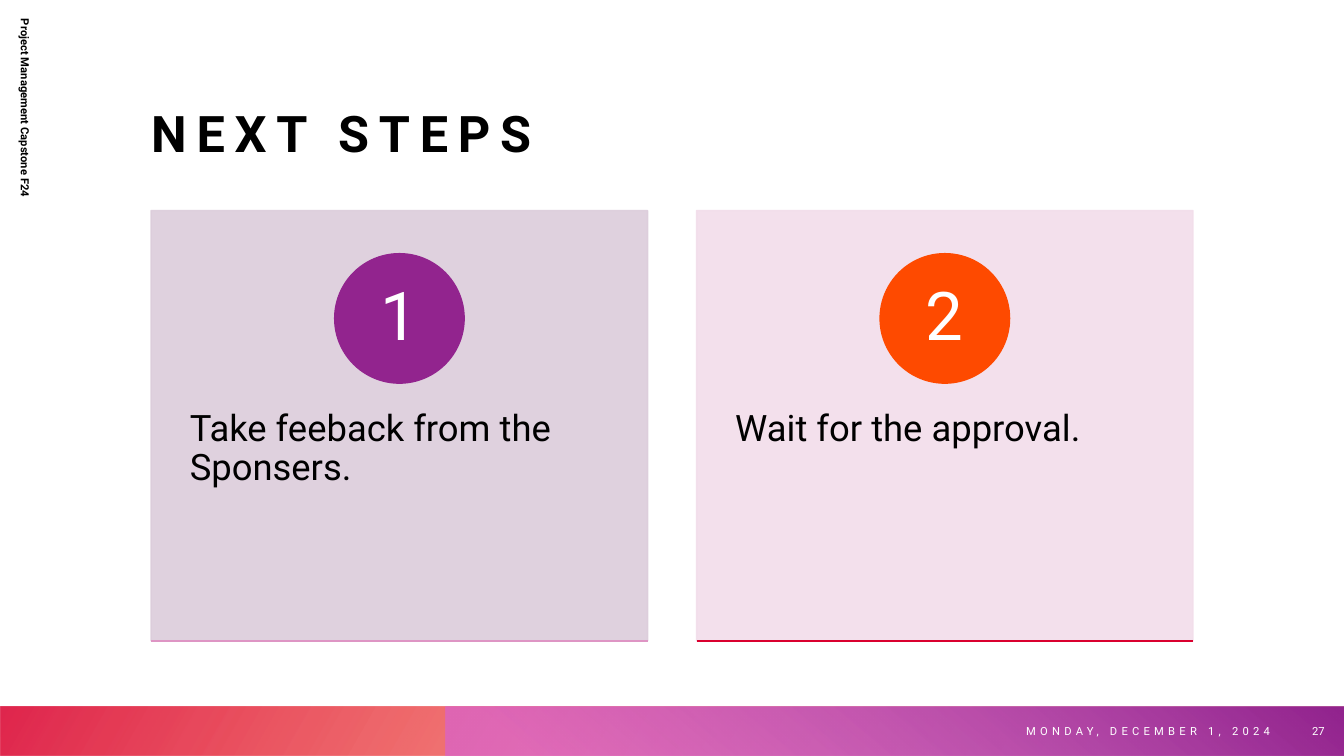
from lxml import etree
from pptx import Presentation
from pptx.dml.color import RGBColor
from pptx.enum.shapes import MSO_CONNECTOR, MSO_SHAPE
from pptx.enum.text import MSO_ANCHOR, MSO_AUTO_SIZE, PP_ALIGN
from pptx.oxml.ns import qn
from pptx.util import Pt

RECTANGLE, OVAL = MSO_SHAPE.RECTANGLE, MSO_SHAPE.OVAL
STRAIGHT = MSO_CONNECTOR.STRAIGHT
TOP, MIDDLE, BOTTOM = MSO_ANCHOR.TOP, MSO_ANCHOR.MIDDLE, MSO_ANCHOR.BOTTOM
LEFT, CENTER, RIGHT = PP_ALIGN.LEFT, PP_ALIGN.CENTER, PP_ALIGN.RIGHT
NO_AUTOFIT = MSO_AUTO_SIZE.NONE

FONT = "Roboto"
COLORS = {
    "black": "000000", "white": "FFFFFF",
    "orange": "FE4A00", "red": "DA002F",
    "orchid": "D861D4", "purple": "92248E",
    "lilac": "DCCDDB", "blush": "F2DDEA", "pink": "DE95C4",
}
SLIDE_WIDTH, SLIDE_HEIGHT = 960, 540
MARGIN = 108
FOOTER_TOP, FOOTER_HEIGHT = 504.6, 35.4
CARD_TOP, CARD_WIDTH, CARD_HEIGHT, CARD_GAP = 150.4, 354.6, 307.4, 35
CIRCLE_SIZE = 92.5

# Number, text, circle colour, card colour, base line colour
STEPS = [
    ("1", "Take feeback from the Sponsers.", "purple", "lilac", "pink"),
    ("2", "Wait for the approval.", "orange", "blush", "red"),
]


def rgb(name):
    return RGBColor.from_string(COLORS[name])


def set_alpha(parent, percent):
    """Make every colour below the given element partly opaque."""
    for color in parent.iter(qn("a:srgbClr")):
        etree.SubElement(color, qn("a:alpha")).set("val", str(percent * 1000))


def write_text(shape, text, size=8, color="black", bold=False, tracking=0,
               align=LEFT, anchor=MIDDLE, insets=(7.2, 3.6), line_spacing=1.0):
    frame = shape.text_frame
    frame.word_wrap = True
    frame.auto_size = NO_AUTOFIT
    frame.vertical_anchor = anchor
    frame.margin_left = frame.margin_right = Pt(insets[0])
    frame.margin_top = frame.margin_bottom = Pt(insets[1])
    paragraph = frame.paragraphs[0]
    paragraph.alignment = align
    paragraph.line_spacing = line_spacing
    run = paragraph.add_run()
    run.text = text
    run.font.name = FONT
    run.font.size = Pt(size)
    run.font.bold = bold
    run.font.color.rgb = rgb(color)
    if tracking:
        run.font._element.set("spc", str(tracking * 100))


def add_label(slide, box, text, **text_format):
    label = slide.shapes.add_textbox(*map(Pt, box))
    write_text(label, text, **text_format)
    return label


def add_filled(slide, kind, box, color, alpha=None):
    shape = slide.shapes.add_shape(kind, *map(Pt, box))
    shape.shadow.inherit = False
    shape.fill.solid()
    shape.fill.fore_color.rgb = rgb(color)
    shape.line.color.rgb = rgb(color)
    shape.line.width = Pt(1)
    if alpha:
        set_alpha(shape._element.spPr, alpha)
    return shape


def add_gradient_bar(slide, left, stops, angle, rotation=0):
    """Draw a mirrored footer bar that runs to the right edge."""
    bar = slide.shapes.add_shape(RECTANGLE, Pt(left), Pt(FOOTER_TOP),
                                 Pt(SLIDE_WIDTH - left), Pt(FOOTER_HEIGHT))
    bar.shadow.inherit = False
    bar.line.fill.background()
    bar.rotation = rotation
    bar._element.spPr.find(qn("a:xfrm")).set("flipH", "1")
    bar.fill.gradient()
    bar.fill.gradient_angle = 360 - angle
    for stop, (position, color, alpha) in zip(bar.fill.gradient_stops, stops):
        stop.position = position / 100
        stop.color.rgb = rgb(color)
        set_alpha(stop._gs, alpha)


def add_base_line(slide, left, top, width, color):
    line = slide.shapes.add_connector(STRAIGHT, Pt(left), Pt(top),
                                      Pt(left + width), Pt(top))
    line.line.color.rgb = rgb(color)
    line.line.width = Pt(1)
    etree.SubElement(line._element.spPr, qn("a:effectLst"))


def add_step_card(slide, left, number, text, circle_color, card_color, line_color):
    add_filled(slide, RECTANGLE, (left, CARD_TOP, CARD_WIDTH, CARD_HEIGHT),
               card_color, alpha=90)
    add_label(slide, (left, 267, CARD_WIDTH, 184), text, size=26, anchor=TOP,
              insets=(27.6, 26), line_spacing=0.9)
    circle_left = left + (CARD_WIDTH - CIRCLE_SIZE) / 2
    circle = add_filled(slide, OVAL, (circle_left, 181.2, CIRCLE_SIZE, CIRCLE_SIZE),
                        circle_color)
    write_text(circle, number, size=48, color="white", align=CENTER,
               insets=(7.2, 0.7), line_spacing=0.9)
    add_base_line(slide, left, CARD_TOP + CARD_HEIGHT, CARD_WIDTH, line_color)


def add_title(slide, text):
    title = slide.shapes.title
    title.left, title.top = Pt(MARGIN), Pt(37.5)
    title.width, title.height = Pt(744), Pt(79)
    write_text(title, text, size=36, bold=True, tracking=7,
               anchor=BOTTOM, insets=(0, 0))


def add_footer(slide):
    add_gradient_bar(slide, 0, [(14, "orange", 28), (100, "red", 85)],
                     angle=150, rotation=180)
    add_gradient_bar(slide, 318, [(9, "orchid", 68), (99, "purple", 100)], angle=230)
    add_label(slide, (623, FOOTER_TOP, 291.5, FOOTER_HEIGHT),
              "MONDAY, DECEMBER 1, 2024", color="white", tracking=3, align=RIGHT)
    add_label(slide, (918.5, FOOTER_TOP, 34.8, FOOTER_HEIGHT), "27",
              color="white", align=RIGHT)


def main():
    presentation = Presentation()
    presentation.slide_width = Pt(SLIDE_WIDTH)
    presentation.slide_height = Pt(SLIDE_HEIGHT)
    slide = presentation.slides.add_slide(presentation.slide_layouts[5])
    slide.background.fill.solid()
    slide.background.fill.fore_color.rgb = rgb("white")

    # Heading and side label
    add_title(slide, "NEXT STEPS")
    side_label = add_label(slide, (-144, 150.4, 324, 36),
                           "Project Management Capstone F24", bold=True)
    side_label.rotation = 90

    # Footer
    add_footer(slide)

    # Step cards
    for index, step in enumerate(STEPS):
        add_step_card(slide, MARGIN + index * (CARD_WIDTH + CARD_GAP), *step)

    presentation.save("out.pptx")


if __name__ == "__main__":
    main()
